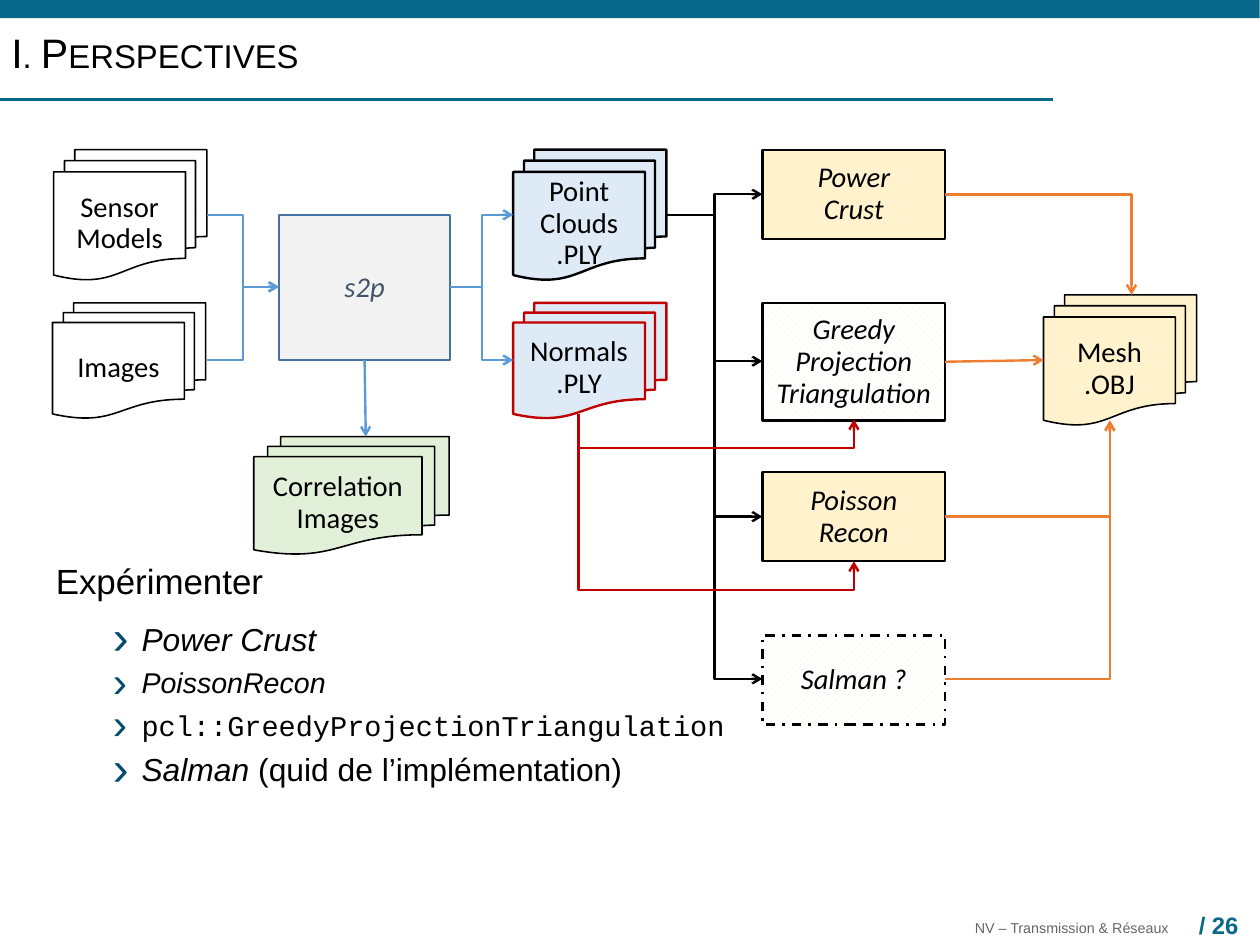
from lxml.etree import SubElement
from pptx import Presentation
from pptx.dml.color import RGBColor
from pptx.enum.dml import MSO_LINE, MSO_PATTERN
from pptx.enum.shapes import MSO_CONNECTOR, MSO_SHAPE
from pptx.enum.text import MSO_ANCHOR, PP_ALIGN
from pptx.oxml.ns import qn
from pptx.util import Cm, Inches, Pt

BLACK = RGBColor(0x00, 0x00, 0x00)
WHITE = RGBColor(0xFF, 0xFF, 0xFF)
TEAL = RGBColor(0x07, 0x68, 0x89)
GREY = RGBColor(0x66, 0x66, 0x66)
SLATE = RGBColor(0x44, 0x54, 0x6A)
PALE_GREY = RGBColor(0xF2, 0xF2, 0xF2)
STEEL = RGBColor(0x43, 0x73, 0x9E)
BLUE = RGBColor(0x5B, 0x9B, 0xD5)
PALE_BLUE = RGBColor(0xDE, 0xEB, 0xF7)
PALE_GREEN = RGBColor(0xE2, 0xF0, 0xD9)
CREAM = RGBColor(0xFF, 0xF2, 0xCC)
RED = RGBColor(0xC0, 0x00, 0x00)
ORANGE = RGBColor(0xED, 0x7D, 0x31)
BULLET = "014D6D"


def cells(n):
    """Length of n grid cells; a cell is a tenth of an inch."""
    return Inches(n / 10)


def add(parent, tag, **attrs):
    return SubElement(parent, qn(tag), attrs)


def write(p, text, size=18, font="Arial", color=BLACK, bold=False, italic=False,
          small_caps=False):
    r = p.add_run()
    r.text = text
    r.font.size, r.font.name = Pt(size), font
    r.font.bold, r.font.italic = bold, italic
    r.font.color.rgb = color
    if small_caps:
        r.font._element.set("cap", "small")


class Deck:
    def __init__(self, prs):
        self.prs = prs
        self.s = prs.slides.add_slide(prs.slide_layouts[6])

    def text_box(self, at, anchor=MSO_ANCHOR.TOP):
        tf = self.s.shapes.add_textbox(*map(cells, at)).text_frame
        tf.word_wrap, tf.vertical_anchor = True, anchor
        return tf

    def line_of_text(self, at, text, spacing=0.93, anchor=MSO_ANCHOR.TOP, **style):
        p = self.text_box(at, anchor).paragraphs[0]
        p.line_spacing = spacing
        write(p, text, **style)

    def shape(self, kind, at, fill, line=None, width=1.5, text="", pattern=None,
              dash=None, **style):
        sp = self.s.shapes.add_shape(kind, *map(cells, at))
        sp.shadow.inherit = False
        if pattern:
            sp.fill.patterned()
            sp.fill.pattern = pattern
            sp.fill.fore_color.rgb, sp.fill.back_color.rgb = fill, WHITE
        else:
            sp.fill.solid()
            sp.fill.fore_color.rgb = fill
        if line is None:
            sp.line.fill.background()
        else:
            sp.line.color.rgb, sp.line.width = line, Pt(width)
        if dash:
            sp.line.dash_style = dash
        tf = sp.text_frame
        tf.word_wrap, tf.vertical_anchor = True, MSO_ANCHOR.MIDDLE
        for i, row in enumerate(text.split("\n") if text else []):
            p = tf.add_paragraph() if i else tf.paragraphs[0]
            p.alignment, p.line_spacing = PP_ALIGN.CENTER, 0.93
            write(p, row, font="Calibri", **style)
        return sp

    def box(self, at, fill, line=BLACK, **style):
        return self.shape(MSO_SHAPE.RECTANGLE, at, fill, line, italic=True, **style)

    def documents(self, at, fill, text, line=BLACK, width=1):
        self.shape(MSO_SHAPE.FLOWCHART_MULTIDOCUMENT, at, fill, line, width, text)

    def line(self, start, end, color, kind=MSO_CONNECTOR.STRAIGHT, width=1.5, arrow=True):
        c = self.s.shapes.add_connector(kind, *map(cells, (*start, *end)))
        c.line.color.rgb, c.line.width = color, Pt(width)
        props = c.element.spPr
        if arrow:
            add(props.find(qn("a:ln")), "a:tailEnd", type="arrow")
        add(props, "a:effectLst")
        return c

    def elbow(self, start, end, color):
        return self.line(start, end, color, MSO_CONNECTOR.ELBOW)

    def corner(self, start, end, color):
        """Arrow that leaves sideways and turns once."""
        geometry = self.elbow(start, end, color).element.spPr.find(qn("a:prstGeom"))
        geometry.set("prst", "bentConnector2")

    def under(self, start, end, depth, color):
        """Arrow that goes down past its end by depth, across, and back up."""
        (x1, y1), (x2, y2) = start, end
        cx, cy, dx, dy = (x1 + x2) / 2, (y1 + y2) / 2, x2 - x1, y2 - y1
        c = self.elbow((cx - dy / 2, cy - dx / 2), (cx + dy / 2, cy + dx / 2), color)
        xfrm = c.element.spPr.find(qn("a:xfrm"))
        xfrm.set("rot", "16200000")
        xfrm.set("flipH", "1")
        guides = c.element.spPr.find(qn("a:prstGeom")).get_or_add_avLst()
        bend = round((dy + depth) / dy * 100000)
        add(guides, "a:gd", name="adj1", fmla=f"val {bend}")

    def bullets(self, at, heading, items):
        tf = self.text_box(at)
        p = tf.paragraphs[0]
        p.space_before, p.space_after = Pt(10), Pt(6)
        write(p, heading, size=22)
        for runs in items:
            p = tf.add_paragraph()
            p.level, p.space_before = 1, Pt(5)
            pPr = p._p.get_or_add_pPr()
            pPr.set("marL", str(Inches(0.75)))
            pPr.set("indent", str(Inches(-0.25)))
            add(add(pPr, "a:buClr"), "a:srgbClr", val=BULLET)
            add(pPr, "a:buSzPct", val="150000")
            add(pPr, "a:buFont", typeface="Arial")
            add(pPr, "a:buChar", char="›")
            for text, style in runs:
                write(p, text, **style)


def main():
    prs = Presentation()
    prs.slide_width, prs.slide_height = Cm(28), Cm(21)
    d = Deck(prs)

    bar = d.shape(MSO_SHAPE.ROUNDED_RECTANGLE, (0, 0, 110.2, 1.6), TEAL)
    bar.adjustments[0] = 0.01
    d.line((0, 8.7), (92.1, 8.7), TEAL, width=2, arrow=False)
    d.line_of_text((0, 2.6, 92.1, 4.8), "I. Perspectives", spacing=0.8,
                   anchor=MSO_ANCHOR.MIDDLE, size=25.9, small_caps=True)
    d.line_of_text((84.3, 80.1, 21.5, 2.6), "NV – Transmission & Réseaux", size=9, color=GREY)
    d.line_of_text((103.9, 79.4, 6.3, 3.3), "/ 26", size=15, color=TEAL, bold=True)

    d.bullets((3.9, 48.5, 102.4, 25.1), "Expérimenter", [
        [("Power Crust", dict(size=20, italic=True))],
        [("PoissonRecon", dict(italic=True))],
        [("pcl::GreedyProjectionTriangulation", dict(font="Courier New"))],
        [("Salman", dict(size=20, italic=True)),
         (" (quid de l’implémentation)", dict(size=20))],
    ])

    # Inputs, s2p and its outputs
    d.documents((4.7, 13.1, 13.4, 11.4), WHITE, "Sensor\nModels")
    d.documents((4.6, 26.5, 13.4, 10.1), WHITE, "Images")
    s2p = d.box((24.4, 18.8, 15, 12.7), PALE_GREY, STEEL, text="s2p", color=SLATE)
    d.documents((44.9, 13.1, 13.4, 11.4), PALE_BLUE, "Point Clouds\n.PLY", width=1.5)
    d.documents((44.9, 26.5, 13.4, 10.1), PALE_BLUE, "Normals\n.PLY", RED, 1.5)
    d.documents((22.2, 38.2, 17.1, 10.3), PALE_GREEN, "Correlation\nImages")
    for y in (18.8, 31.5):
        d.elbow((18.1, y), (24.4, 25.1), BLUE)
        d.elbow((39.4, 25.1), (44.9, y), BLUE)
    d.line((31.9, 31.5), (32, 38.2), BLUE).begin_connect(s2p, 2)

    # Meshing tools and the mesh
    left, width, right = 66.7, 16, 82.7
    d.box((left, 13.1, width, 7.8), CREAM, text="Power\nCrust")
    d.box((left, 41.3, width, 7.8), CREAM, text="Poisson\nRecon")
    d.box((left, 55.6, width, 7.8), CREAM, text="Salman ?", dash=MSO_LINE.DASH_DOT,
          pattern=MSO_PATTERN.WIDE_UPWARD_DIAGONAL)
    greedy = d.box((left, 26.5, width, 10.3), CREAM, text="Greedy\nProjection\nTriangulation",
                   pattern=MSO_PATTERN.WIDE_DOWNWARD_DIAGONAL)
    d.documents((91.3, 25.8, 13.4, 11.4), CREAM, "Mesh\n.OBJ")

    for y in (17, 31.6, 45.2, 59.4):
        d.elbow((58.3, 18.8), (left, y), BLACK)
    for bottom in (36.7, 49.1):
        d.under((50.6, 36.2), (74.7, bottom), 2.5, RED)
    d.corner((right, 17), (99, 25.8), ORANGE)
    for y in (45.2, 59.4):
        d.corner((right, y), (97.1, 36.8), ORANGE)
    d.line((right, 31.6), (91.3, 31.5), ORANGE).begin_connect(greedy, 3)

    prs.save("out.pptx")


if __name__ == "__main__":
    main()
